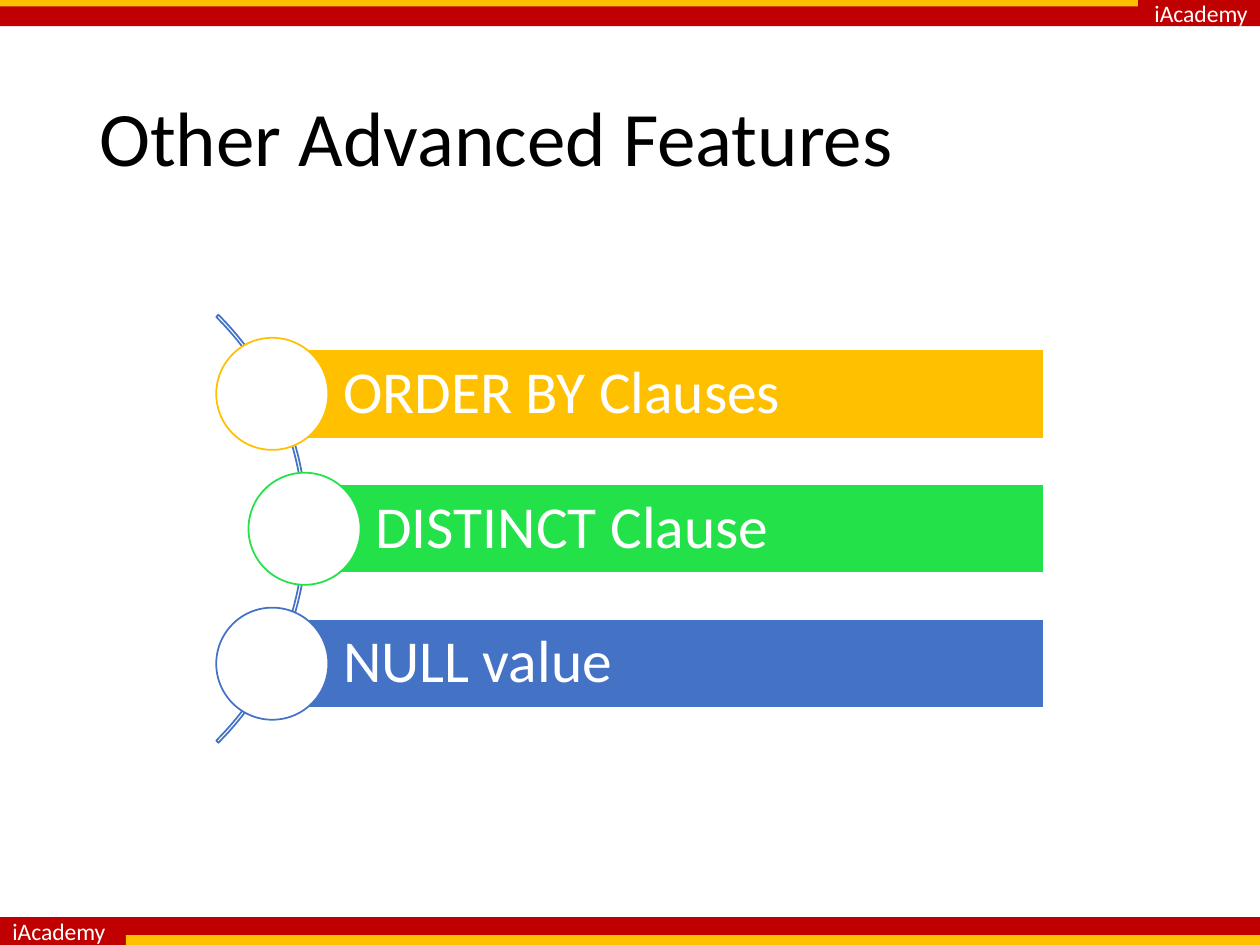
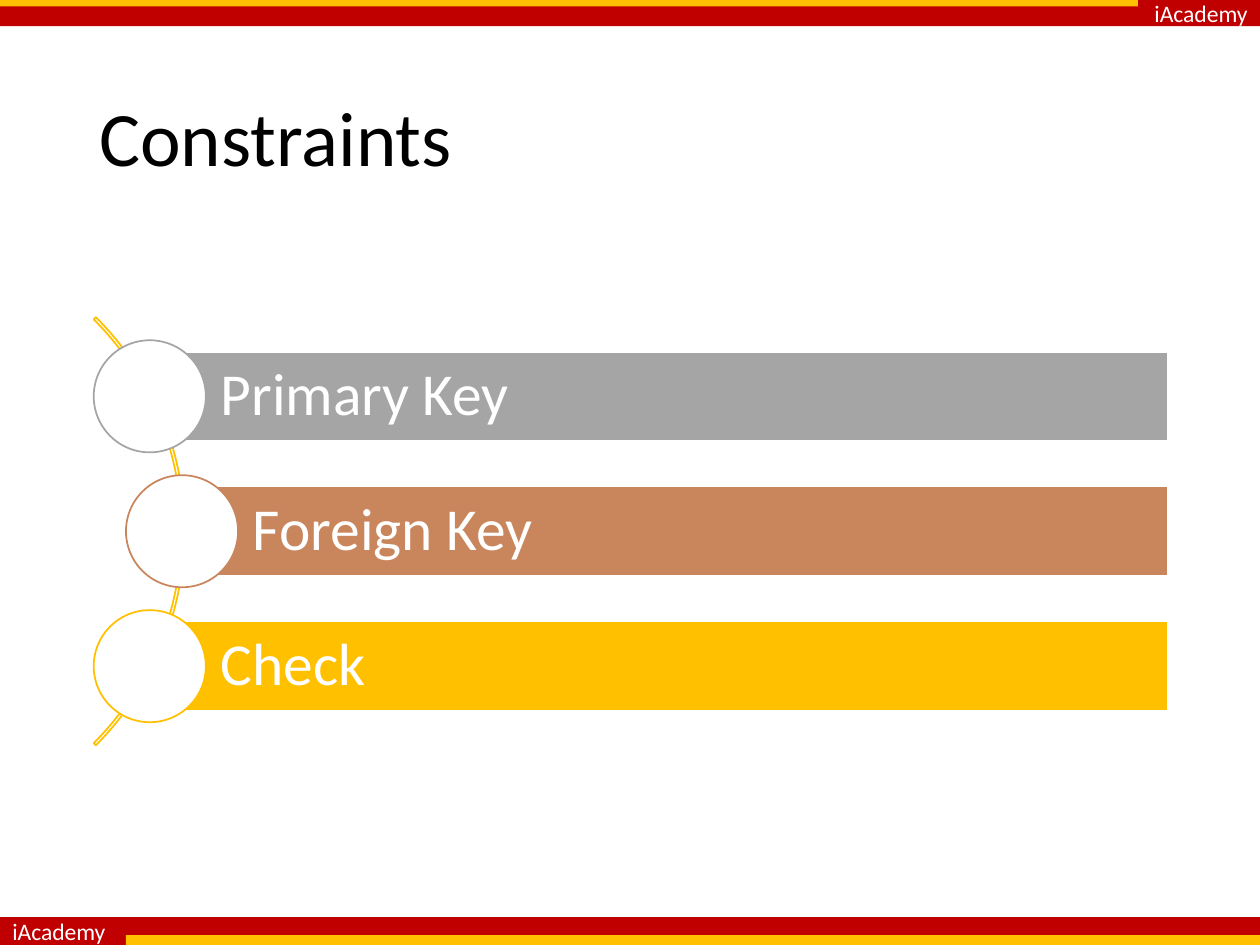
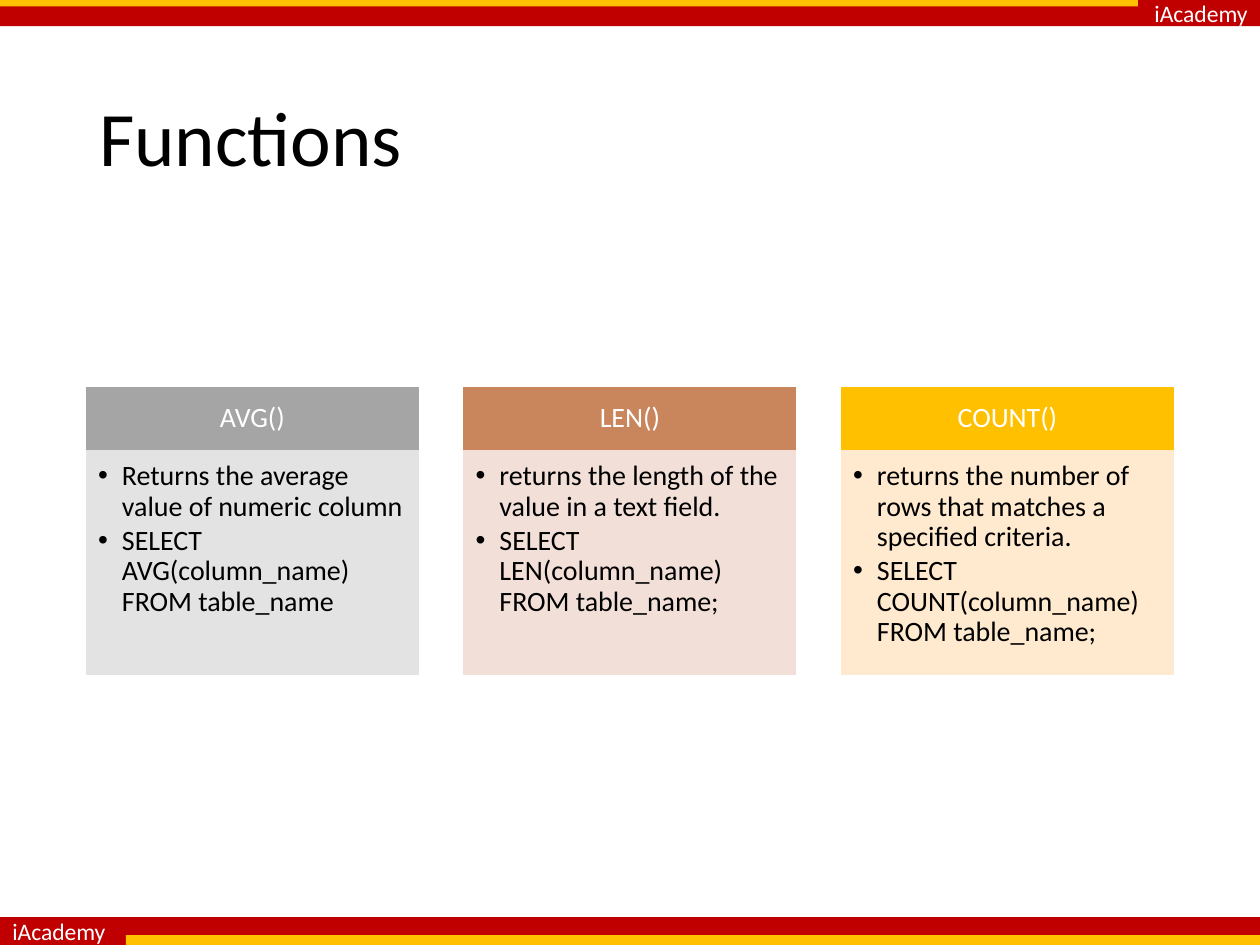
from lxml import etree
from pptx import Presentation
from pptx.dml.color import RGBColor
from pptx.enum.shapes import MSO_SHAPE
from pptx.enum.text import MSO_ANCHOR, PP_ALIGN
from pptx.oxml.ns import qn
from pptx.util import Cm, Pt

RECT, OVAL, ARC = MSO_SHAPE.RECTANGLE, MSO_SHAPE.OVAL, MSO_SHAPE.BLOCK_ARC
LEFT, CENTER, RIGHT = PP_ALIGN.LEFT, PP_ALIGN.CENTER, PP_ALIGN.RIGHT
TOP, MIDDLE = MSO_ANCHOR.TOP, MSO_ANCHOR.MIDDLE

THEME = {
    "font": "Calibri",
    "black": "000000", "white": "FFFFFF", "red": "C00000", "amber": "FFC000",
    "green": "23E148", "blue": "4472C4", "grey": "A5A5A5", "copper": "C9855C",
    "pale grey": "E3E3E3", "pale copper": "F2DFD8", "pale amber": "FFEACF",
    "title": 44, "bar": 34, "card": 16, "band": 13.5,
}


def add_box(s, kind, box, fill=None, line=None):
    """Add a preset shape; box is left, top, width, height in cm."""
    sp = s.shapes.add_shape(kind, *map(Cm, box))
    sp.shadow.inherit = False
    if fill:
        sp.fill.solid()
        sp.fill.fore_color.rgb = RGBColor.from_string(THEME[fill])
    else:
        sp.fill.background()
    if line:
        sp.line.color.rgb = RGBColor.from_string(THEME[line])
        sp.line.width = Pt(1)
    else:
        sp.line.fill.background()
    return sp


def write(sp, lines, size, color, align=LEFT, anchor=MIDDLE,
          margins=(0.25, 0.13, 0.25, 0.13), spacing=0.9, bullets=False):
    """Fill a shape with one paragraph per line; margins in cm."""
    tf = sp.text_frame
    frame = dict(zip(("margin_left", "margin_top", "margin_right", "margin_bottom"),
                     map(Cm, margins)))
    frame.update(word_wrap=True, vertical_anchor=anchor)
    for name, value in frame.items():
        setattr(tf, name, value)
    for i, line in enumerate(lines):
        p = tf.add_paragraph() if i else tf.paragraphs[0]
        p.alignment, p.line_spacing = align, spacing
        if bullets:
            p.space_after = Pt(2.4)
            pPr = p._p.get_or_add_pPr()
            pPr.set("marL", str(Cm(0.48)))
            pPr.set("indent", str(-Cm(0.48)))
            etree.SubElement(pPr, qn("a:buFont"), typeface="Arial")
            etree.SubElement(pPr, qn("a:buChar"), char="•")
        r = p.add_run()
        r.text = line
        for name, value in {"name": THEME["font"], "size": Pt(THEME[size])}.items():
            setattr(r.font, name, value)
        r.font.color.rgb = RGBColor.from_string(THEME[color])


prs = Presentation()
prs.slide_width, prs.slide_height = Cm(25.4), Cm(19.05)
layout = prs.slide_layouts[5]

# Titles
slides = []
for title in ("Other Advanced Features", "Constraints", "Functions"):
    s = prs.slides.add_slide(layout)
    sp = s.shapes.title
    sp.left, sp.top, sp.width, sp.height = map(Cm, (1.75, 1.01, 21.9, 3.68))
    write(sp, [title], "title", "black")
    slides.append(s)

# Bands, drawn once and moved to the master
bands = [
    ((0, 0, 25.4, 0.53), "red", RIGHT),
    ((0, 18.49, 25.4, 0.56), "red", LEFT),
    ((0, 0, 22.94, 0.13), "amber", None),
    ((2.54, 18.85, 22.86, 0.2), "amber", None),
]
for box, fill, align in bands:
    sp = add_box(slides[0], RECT, box, fill)
    if align:
        write(sp, ["iAcademy"], "band", "white", align,
              margins=(0.25, 0, 0.25, 0), spacing=1.0)
    prs.slide_master.shapes.element.append(sp.element)

# Curved lists: bars and circles along an arc
ARC_SIZE, CIRCLE, BAR_H, STEP, INDENT = 12.2, 2.26, 1.8, 2.72, 0.65
curved_lists = [
    (slides[0], 5.49, 21.04, 7.04, "blue",
     [("ORDER BY Clauses", "amber"), ("DISTINCT Clause", "green"), ("NULL value", "blue")]),
    (slides[1], 3.02, 23.54, 7.09, "amber",
     [("Primary Key", "grey"), ("Foreign Key", "copper"), ("Check", "amber")]),
]
for s, left, right, top, arc_color, items in curved_lists:
    arc_top = top + STEP + BAR_H / 2 - ARC_SIZE / 2
    arc = add_box(s, ARC, (left + 0.7 - ARC_SIZE, arc_top, ARC_SIZE, ARC_SIZE), line=arc_color)
    for i, value in enumerate((189, 27, 0.005)):
        arc.adjustments[i] = value
    for i, (text, color) in enumerate(items):
        x = left + (INDENT if i == 1 else 0)
        y = top + i * STEP
        bar = add_box(s, RECT, (x, y, right - x, BAR_H), color, "white")
        write(bar, [text], "bar", "white", margins=(1.43, 0.23, 0.23, 0.23))
        add_box(s, OVAL, (x - CIRCLE / 2, y + (BAR_H - CIRCLE) / 2, CIRCLE, CIRCLE),
                "white", color)

# Function cards
CARD_W, CARD_STEP, HEAD_TOP, HEAD_H, BODY_H = 6.68, 7.61, 7.81, 1.27, 4.52
cards = [
    ("AVG()", "grey", ["Returns the average value of numeric column",
                       "SELECT AVG(column_name) FROM table_name"]),
    ("LEN()", "copper", ["returns the length of the value in a text field.",
                         "SELECT LEN(column_name) FROM table_name;"]),
    ("COUNT()", "amber", ["returns the number of rows that matches a specified criteria.",
                          "SELECT COUNT(column_name) FROM table_name;"]),
]
for i, (name, color, lines) in enumerate(cards):
    x = 1.75 + i * CARD_STEP
    pale = "pale " + color
    head = add_box(slides[2], RECT, (x, HEAD_TOP, CARD_W, HEAD_H), color, color)
    write(head, [name], "card", "white", CENTER, margins=(0.3, 0.18, 0.3, 0.18))
    body = add_box(slides[2], RECT, (x, HEAD_TOP + HEAD_H, CARD_W, BODY_H), pale, pale)
    write(body, lines, "card", "black", anchor=TOP,
          margins=(0.23, 0.23, 0.3, 0.36), bullets=True)

prs.save("out.pptx")
